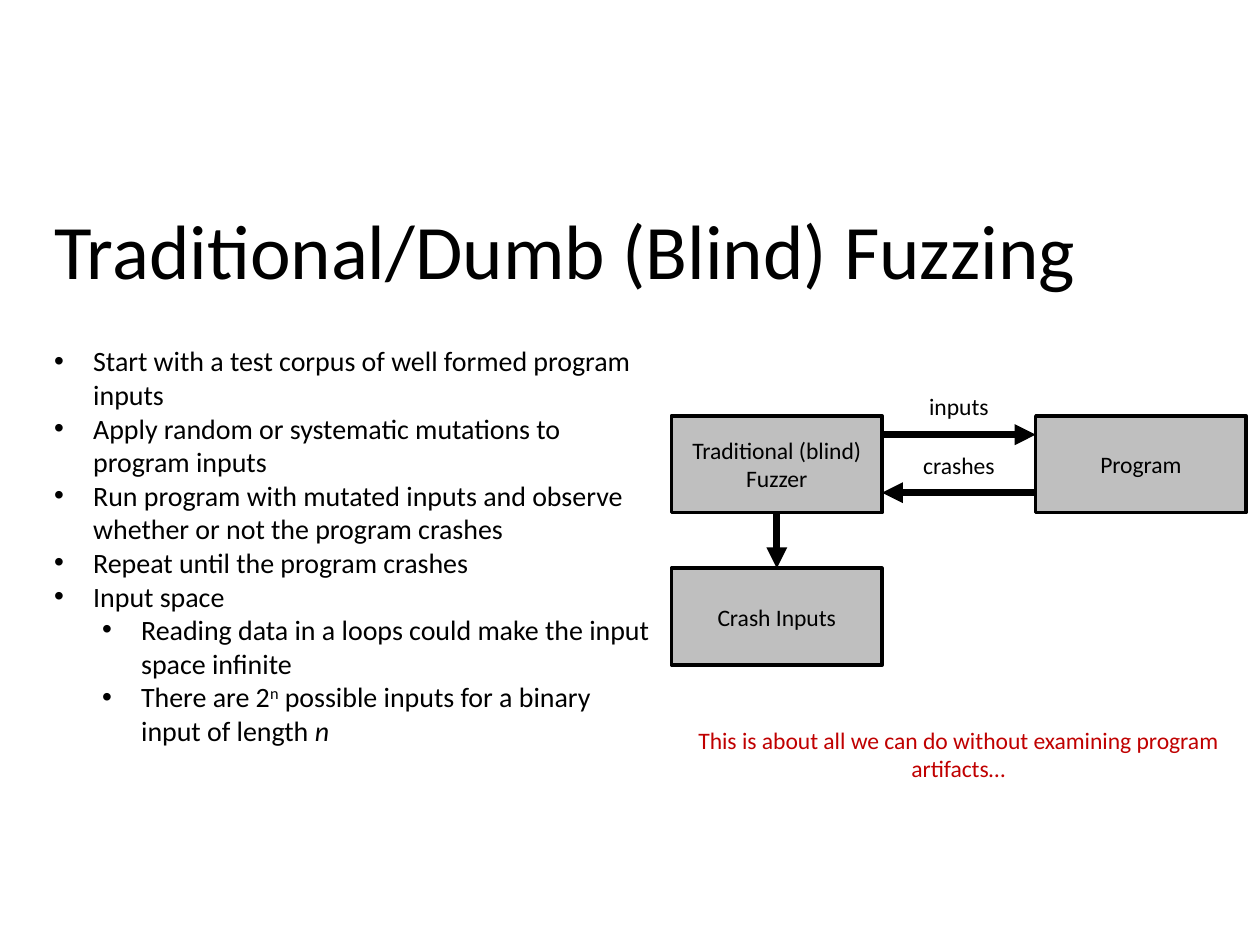
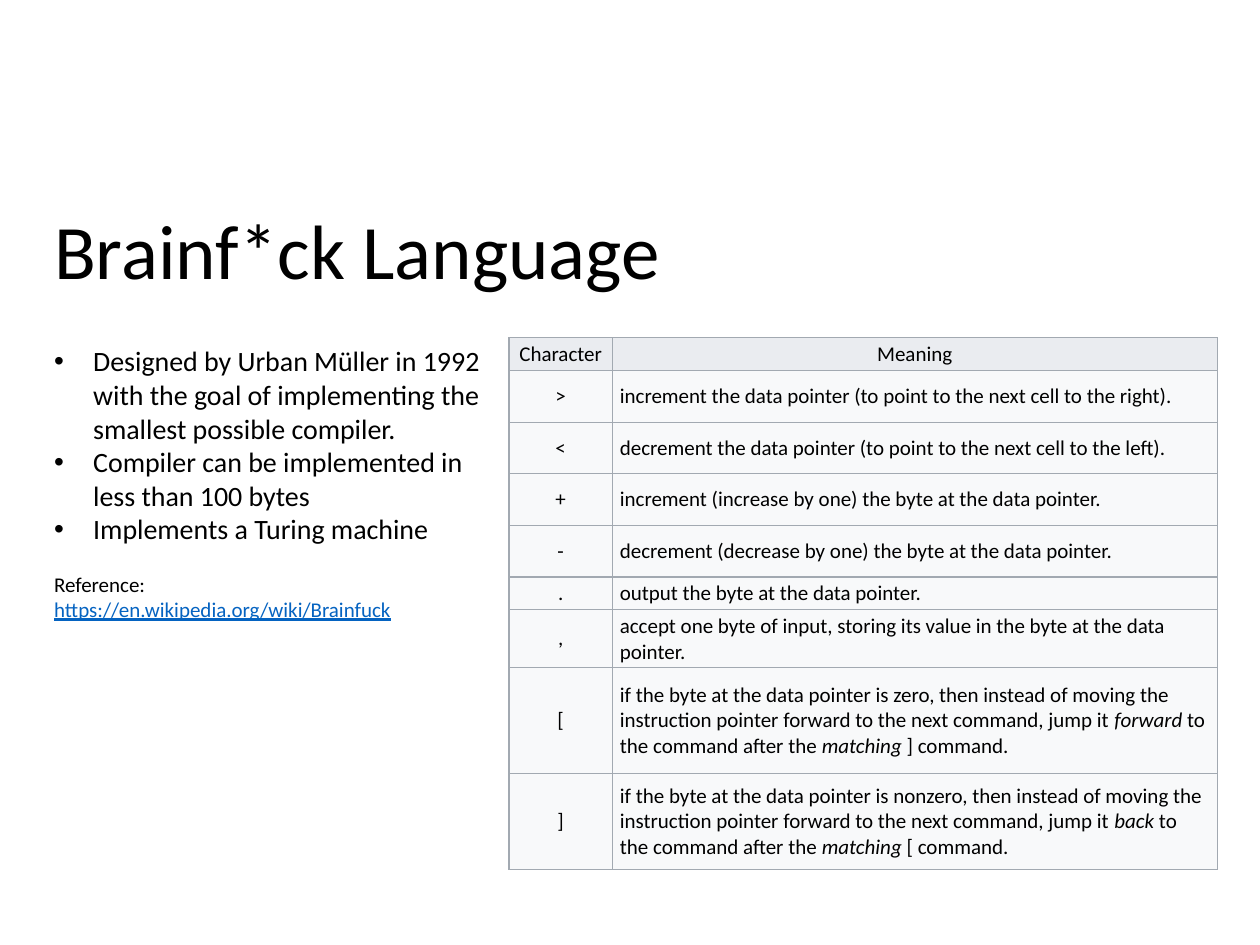
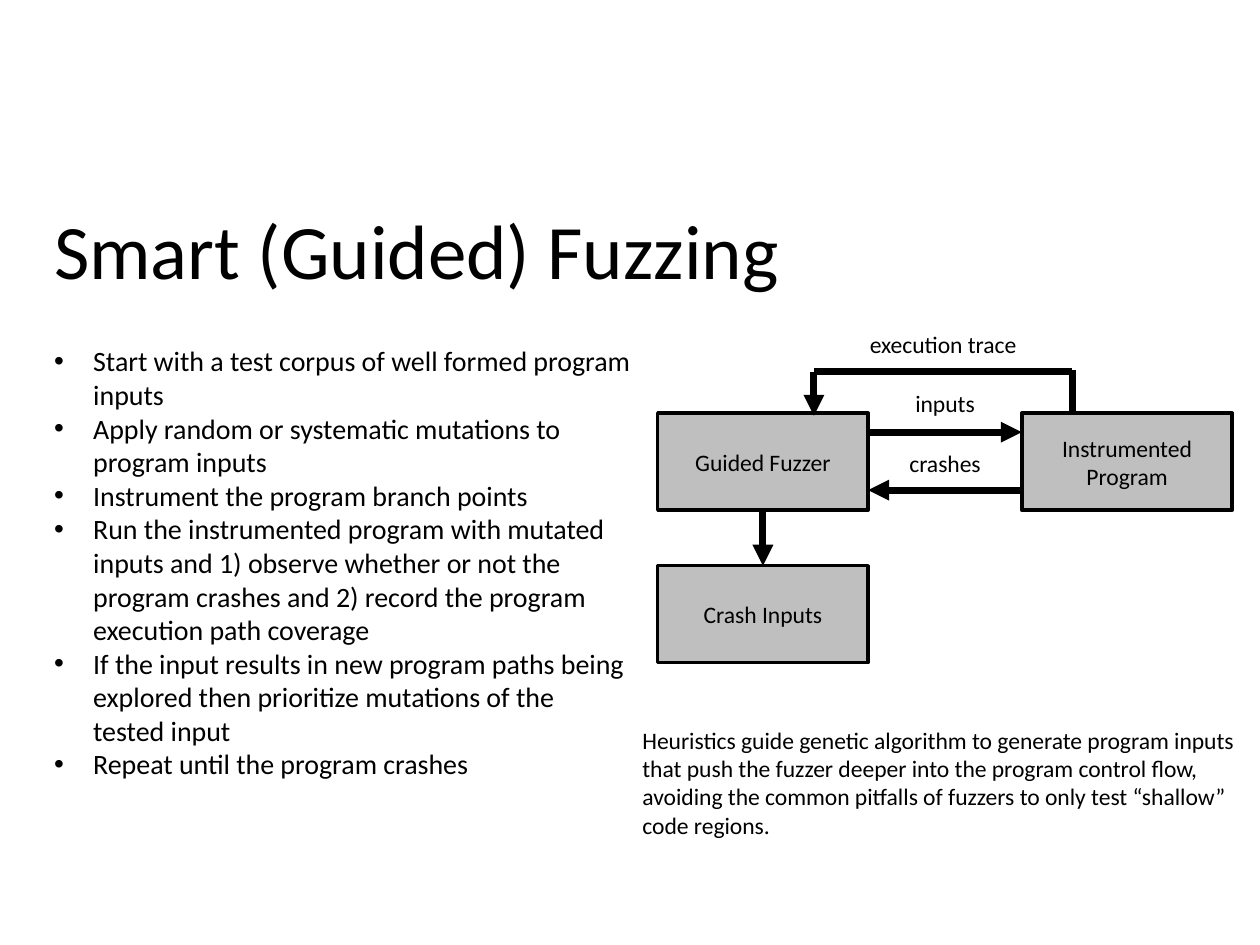
from lxml.etree import SubElement
from pptx import Presentation
from pptx.dml.color import RGBColor
from pptx.enum.shapes import MSO_CONNECTOR, MSO_SHAPE
from pptx.enum.text import MSO_ANCHOR, MSO_AUTO_SIZE, PP_ALIGN
from pptx.oxml.ns import qn
from pptx.util import Inches, Pt

COLORS = {
    "text": "000000", "box": "BFBFBF", "warning": "C00000", "link": "0563C1",
    "border": "A2A9B1", "header": "EAECF0", "cell": "F8F9FA",
}
FONT = "Calibri"
LIST_SIZE, LABEL_SIZE, SMALL_SIZE = 16, 13.5, 12
LEFT, BODY_TOP = 0.33, 2.68

# Sizes of the fuzzer diagram
BOX_WIDTH, BOX_HEIGHT = 1.67, 0.77
COLUMN_GAP, ROW_GAP = 1.22, 0.44


def color(name):
    return RGBColor.from_string(COLORS[name])


def italic(text):
    return text, {"italic": True}


class DeckBuilder:
    def __init__(self):
        self.deck = Presentation()
        self.deck.slide_width, self.deck.slide_height = Inches(10), Inches(7.5)
        self.page = None

    def set_text(self, para, content, size, tone="text", align=PP_ALIGN.LEFT):
        """Fill a paragraph with a string or a list of strings and (text, style) pairs."""
        para.alignment = align
        para.space_before = Pt(0)
        para.font.name, para.font.size = FONT, Pt(size)
        para.font.color.rgb = color(tone)
        for part in [content] if isinstance(content, str) else content:
            text, style = (part, {}) if isinstance(part, str) else part
            span = para.add_run()
            span.text = text
            if "italic" in style:
                span.font.italic = True
            if "baseline" in style:
                span._r.get_or_add_rPr().set("baseline", style["baseline"])

    def place(self, shape, left, top, width, height):
        shape.left, shape.top = Inches(left), Inches(top)
        shape.width, shape.height = Inches(width), Inches(height)

    def start_page(self, title):
        self.page = self.deck.slides.add_slide(self.deck.slide_layouts[1])
        heading = self.page.shapes.title
        self.place(heading, LEFT, 1.61, 8.62, 0.82)
        frame = heading.text_frame
        frame.auto_size = MSO_AUTO_SIZE.NONE
        frame.vertical_anchor = MSO_ANCHOR.MIDDLE
        para = frame.paragraphs[0]
        para.line_spacing = 0.9
        self.set_text(para, title, 44)

    def indent(self, para, level, bullet=True):
        props = para._p.get_or_add_pPr()
        para.level = level
        if bullet:
            props.set("marL", str(Inches(0.31 + 0.38 * level)))
            props.set("indent", str(Inches(-0.31)))
            SubElement(props, qn("a:buFont")).set("typeface", "Arial")
            SubElement(props, qn("a:buChar")).set("char", "•")
        else:
            props.set("marL", "0")
            props.set("indent", "0")
            SubElement(props, qn("a:buNone"))

    def bullets(self, width, height, items, subitems=()):
        body = self.page.placeholders[1]
        self.place(body, LEFT, BODY_TOP, width, height)
        frame = body.text_frame
        frame.auto_size = MSO_AUTO_SIZE.SHAPE_TO_FIT_TEXT
        leveled = [(0, item) for item in items] + [(1, item) for item in subitems]
        for number, (level, item) in enumerate(leveled):
            para = frame.add_paragraph() if number else frame.paragraphs[0]
            self.indent(para, level)
            self.set_text(para, item, LIST_SIZE)
        return frame

    def reference(self, frame, address):
        label, link = frame.add_paragraph(), frame.add_paragraph()
        for para, text, tone in ((label, "Reference:", "text"), (link, address, "link")):
            self.indent(para, 0, bullet=False)
            self.set_text(para, text, SMALL_SIZE, tone)
        label.space_before = Pt(14.6)
        link.font.underline = True

    def text(self, left, top, width, height, content, tone="text", align=PP_ALIGN.CENTER):
        box = self.page.shapes.add_textbox(
            Inches(left), Inches(top), Inches(width), Inches(height))
        box.text_frame.word_wrap = True
        box.text_frame.auto_size = MSO_AUTO_SIZE.SHAPE_TO_FIT_TEXT
        self.set_text(box.text_frame.paragraphs[0], content, LABEL_SIZE, tone, align)

    def box(self, left, top, lines):
        box = self.page.shapes.add_shape(
            MSO_SHAPE.RECTANGLE, Inches(left), Inches(top),
            Inches(BOX_WIDTH), Inches(BOX_HEIGHT))
        box.shadow.inherit = False
        box.fill.solid()
        box.fill.fore_color.rgb = color("box")
        box.line.color.rgb = color("text")
        box.line.width = Pt(2)
        frame = box.text_frame
        frame.word_wrap = True
        frame.vertical_anchor = MSO_ANCHOR.MIDDLE
        for number, line in enumerate(lines):
            para = frame.add_paragraph() if number else frame.paragraphs[0]
            self.set_text(para, line, LABEL_SIZE, align=PP_ALIGN.CENTER)
        return box

    def line(self, start, end, arrow=True):
        line = self.page.shapes.add_connector(
            MSO_CONNECTOR.STRAIGHT, *(Inches(value) for value in (*start, *end)))
        line.line.color.rgb = color("text")
        line.line.width = Pt(4)
        props = line._element.spPr
        if arrow:
            SubElement(props.get_or_add_ln(), qn("a:tailEnd")).set("type", "triangle")
        SubElement(props, qn("a:effectLst"))
        return line

    def fuzzer_diagram(self, left, top, fuzzer_lines, program_lines):
        right = left + BOX_WIDTH
        program_left = right + COLUMN_GAP
        crash_top = top + BOX_HEIGHT + ROW_GAP
        middle = left + BOX_WIDTH / 2
        fuzzer = self.box(left, top, fuzzer_lines)
        self.box(program_left, top, program_lines)
        crashes = self.box(left, crash_top, ["Crash Inputs"])
        self.line((right, top + 0.15), (program_left, top + 0.15))
        self.line((program_left, top + 0.61), (right, top + 0.61))
        self.text(right, top - 0.24, COLUMN_GAP, 0.4, "inputs")
        self.text(right, top + 0.23, COLUMN_GAP, 0.4, "crashes")
        found = self.line((middle, top + BOX_HEIGHT), (middle, crash_top))
        found.begin_connect(fuzzer, 2)
        found.end_connect(crashes, 0)

    def trace_loop(self, left, right, top, box_top):
        self.line((left, top), (left, box_top + 0.02))
        self.line((right, box_top), (right, top - 0.01), arrow=False)
        self.line((left, top), (right, top), arrow=False)
        self.text(left, top - 0.38, right - left, 0.4, "execution trace")

    def style_cell(self, cell, content, fill, align):
        cell.margin_left = cell.margin_right = Inches(0.06)
        cell.margin_top = cell.margin_bottom = Inches(0.03)
        cell.vertical_anchor = MSO_ANCHOR.MIDDLE
        props = cell._tc.get_or_add_tcPr()
        for side in ("a:lnL", "a:lnR", "a:lnT", "a:lnB"):
            border = SubElement(props, qn(side), w=str(Pt(0.75)))
            solid = SubElement(border, qn("a:solidFill"))
            SubElement(solid, qn("a:srgbClr")).set("val", COLORS["border"])
        cell.fill.solid()
        cell.fill.fore_color.rgb = color(fill)
        self.set_text(cell.text_frame.paragraphs[0], content, SMALL_SIZE, align=align)

    def table(self, left, top, widths, heights, rows):
        table = self.page.shapes.add_table(
            len(rows), len(widths), Inches(left), Inches(top),
            Inches(sum(widths)), Inches(sum(heights))).table
        table.first_row = table.horz_banding = False
        for column, width in zip(table.columns, widths):
            column.width = Inches(width)
        for number, (height, row) in enumerate(zip(heights, rows)):
            table.rows[number].height = Inches(height)
            for index, content in enumerate(row):
                centered = number == 0 or index == 0
                self.style_cell(table.cell(number, index), content,
                                "cell" if number else "header",
                                PP_ALIGN.CENTER if centered else PP_ALIGN.LEFT)


SHARED_STEPS = [
    "Start with a test corpus of well formed program inputs",
    "Apply random or systematic mutations to program inputs",
]
LAST_STEP = "Repeat until the program crashes"

COMMANDS = [
    ("Character", "Meaning"),
    (">", "increment the data pointer (to point to the next cell to the right)."),
    ("<", "decrement the data pointer (to point to the next cell to the left)."),
    ("+", "increment (increase by one) the byte at the data pointer."),
    ("-", "decrement (decrease by one) the byte at the data pointer."),
    (".", "output the byte at the data pointer."),
    (",", "accept one byte of input, storing its value in the byte at the data pointer."),
    ("[", ["if the byte at the data pointer is zero, then instead of moving "
           "the instruction pointer forward to the next command, jump it ",
           italic("forward"), " to the command after the ",
           italic("matching"), " ] command."]),
    ("]", ["if the byte at the data pointer is nonzero, then instead of moving the "
           "instruction pointer forward to the next command, jump it ",
           italic("back"), " to the command after the ",
           italic("matching"), " [ command."]),
]


def main():
    builder = DeckBuilder()

    # Blind fuzzing
    builder.start_page("Traditional/Dumb (Blind) Fuzzing")
    builder.bullets(4.94, 3.33, SHARED_STEPS + [
        "Run program with mutated inputs and observe whether or not the program crashes",
        LAST_STEP,
        "Input space",
    ], [
        "Reading data in a loops could make the input space infinite",
        ["There are 2", ("n", {"baseline": "30000"}),
         " possible inputs for a binary input of length ", italic("n")],
    ])
    builder.fuzzer_diagram(5.33, 3.3, ["Traditional (blind) Fuzzer"], ["Program"])
    builder.text(5.33, 5.71, 4.55, 0.71,
                 "This is about all we can do without examining program artifacts…", "warning")

    # Language and its commands
    builder.start_page("Brainf*ck Language")
    frame = builder.bullets(3.62, 2.32, [
        "Designed by Urban Müller in 1992 with the goal of implementing "
        "the smallest possible compiler.",
        "Compiler can be implemented in less than 100 bytes",
        "Implements a Turing machine",
    ])
    builder.reference(frame, "https://en.wikipedia.org/wiki/Brainfuck")
    heights = [0.25] + [0.41] * 4 + [0.25, 0.45, 0.84, 0.76]
    builder.table(4.04, BODY_TOP, [0.82, 4.8], heights, COMMANDS)

    # Guided fuzzing
    builder.start_page("Smart (Guided) Fuzzing")
    builder.bullets(4.78, 3.6, SHARED_STEPS + [
        "Instrument the program branch points",
        "Run the instrumented program with mutated inputs and 1) observe whether or not "
        "the program crashes and 2) record the program execution path coverage",
        "If the input results in new program paths being explored then prioritize "
        "mutations of the tested input",
        LAST_STEP,
    ])
    builder.fuzzer_diagram(5.22, 3.28, ["Guided Fuzzer"], ["Instrumented", "Program"])
    builder.trace_loop(6.46, 8.51, 2.95, 3.28)
    builder.text(5, 5.71, 4.95, 1.01,
                 "Heuristics guide genetic algorithm to generate program inputs that push "
                 "the fuzzer deeper into the program control flow, avoiding the common "
                 "pitfalls of fuzzers to only test “shallow” code regions.",
                 align=PP_ALIGN.LEFT)

    builder.deck.save("out.pptx")


if __name__ == "__main__":
    main()
